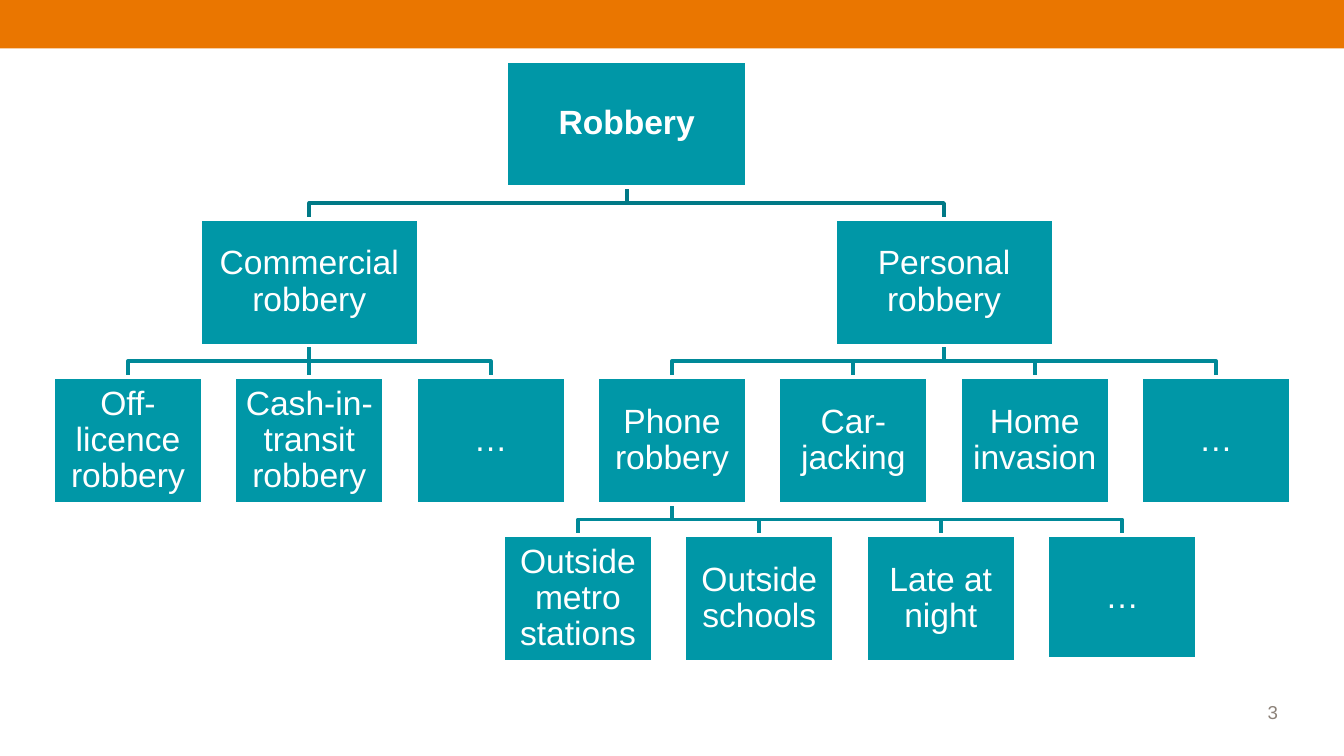
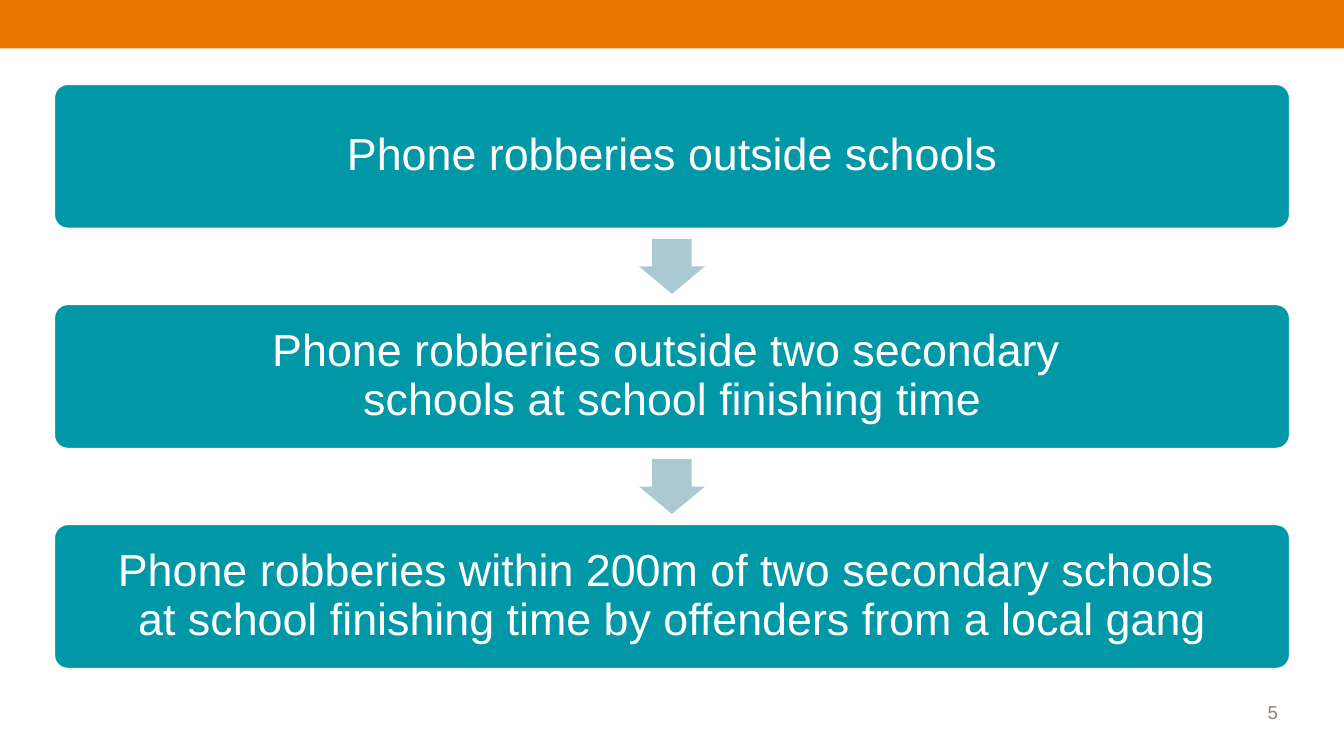
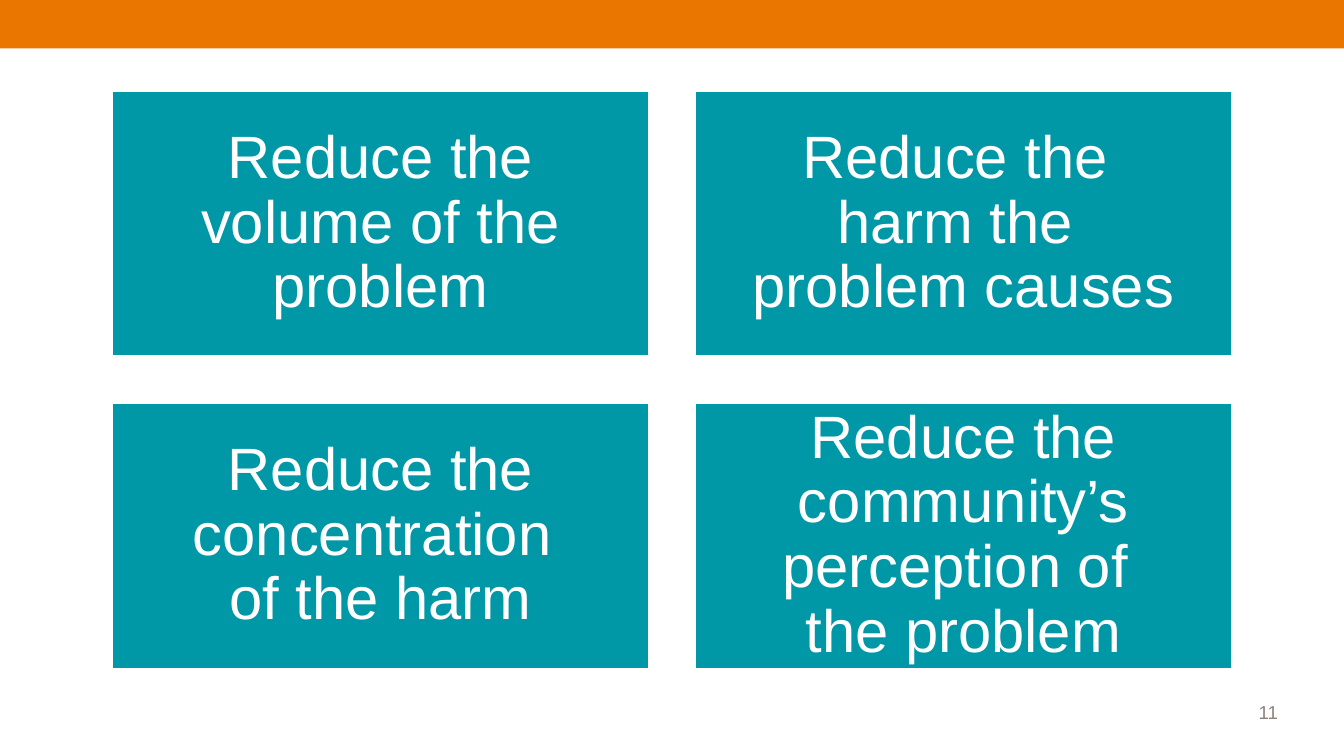
from pptx import Presentation
from pptx.dml.color import RGBColor
from pptx.enum.shapes import MSO_SHAPE
from pptx.enum.text import MSO_ANCHOR, PP_ALIGN
from pptx.util import Pt

RECTANGLE = MSO_SHAPE.RECTANGLE
ROUNDED = MSO_SHAPE.ROUNDED_RECTANGLE
DOWN_ARROW = MSO_SHAPE.DOWN_ARROW
MIDDLE, BOTTOM = MSO_ANCHOR.MIDDLE, MSO_ANCHOR.BOTTOM
CENTER, RIGHT = PP_ALIGN.CENTER, PP_ALIGN.RIGHT

COLORS = {
    "band": "EA7600",
    "box": "0097A7",
    "white": "FFFFFF",
    "upper_link": "007986",
    "lower_link": "008998",
    "arrow": "ABC9D0",
    "number": "8C8279",
}
FONT = "Arial"
SLIDE_WIDTH, SLIDE_HEIGHT = 720, 405

presentation = Presentation()
presentation.slide_width = Pt(SLIDE_WIDTH)
presentation.slide_height = Pt(SLIDE_HEIGHT)


def start_slide(number):
    """Add a slide with the top band and the slide number."""
    slide = presentation.slides.add_slide(presentation.slide_layouts[6])
    band = slide.shapes.add_shape(RECTANGLE, 0, 0, Pt(SLIDE_WIDTH), Pt(26))
    band.shadow.inherit = False
    band.fill.solid()
    band.fill.fore_color.rgb = RGBColor.from_string(COLORS["band"])
    band.line.fill.background()

    number_box = slide.shapes.add_textbox(Pt(635), Pt(359.3), Pt(56.7), Pt(31.7))
    text_frame = number_box.text_frame
    text_frame.word_wrap = True
    text_frame.vertical_anchor = BOTTOM
    text_frame.text = str(number)
    paragraph = text_frame.paragraphs[0]
    paragraph.alignment = RIGHT
    font = paragraph.runs[0].font
    font.name, font.size = FONT, Pt(10)
    font.color.rgb = RGBColor.from_string(COLORS["number"])
    return slide


def add_box(slide, preset, left, top, width, height, text, size, inset, bold=False):
    """Add a teal box with a white outline and centred white text."""
    box = slide.shapes.add_shape(preset, Pt(left), Pt(top), Pt(width), Pt(height))
    box.shadow.inherit = False
    box.fill.solid()
    box.fill.fore_color.rgb = RGBColor.from_string(COLORS["box"])
    box.line.color.rgb = RGBColor.from_string(COLORS["white"])
    box.line.width = Pt(2)
    text_frame = box.text_frame
    text_frame.word_wrap = True
    text_frame.vertical_anchor = MIDDLE
    text_frame.margin_left = text_frame.margin_right = Pt(inset)
    text_frame.margin_top = text_frame.margin_bottom = Pt(inset)
    text_frame.text = text
    paragraph = text_frame.paragraphs[0]
    paragraph.alignment = CENTER
    paragraph.line_spacing = 0.9
    for run in paragraph.runs:
        run.font.name, run.font.size, run.font.bold = FONT, Pt(size), bold
        run.font.color.rgb = RGBColor.from_string(COLORS["white"])
    return box


# Slide 3: tree of robbery types
slide = start_slide(3)
LEVEL_TOP, LEVEL_PITCH, LEVEL_HEIGHT = 32.5, 84.75, 67.9
LEAF_PITCH, LEAF_WIDTH = 97.15, 80.2
third_row = [68.55 + LEAF_PITCH * column for column in range(7)]
fourth_row = [309.65 + LEAF_PITCH * column for column in range(4)]
commercial_center = sum(third_row[:3]) / 3
personal_center = sum(third_row[3:]) / 4
robbery_center = (commercial_center + personal_center) / 2

# Links: parent level, parent centre, child centres
links = [
    (0, robbery_center, [commercial_center, personal_center]),
    (1, commercial_center, third_row[:3]),
    (1, personal_center, third_row[3:]),
    (2, third_row[3], fourth_row),
]
for level, parent_center, child_centers in links:
    link_top = LEVEL_TOP + LEVEL_PITCH * level + LEVEL_HEIGHT
    link_bottom = LEVEL_TOP + LEVEL_PITCH * (level + 1)
    link_middle = (link_top + link_bottom) / 2
    for child_center in child_centers:
        corners = [(parent_center, link_middle), (child_center, link_middle),
                   (child_center, link_bottom)]
        builder = slide.shapes.build_freeform(Pt(parent_center), Pt(link_top))
        builder.add_line_segments([(Pt(x), Pt(y)) for x, y in corners], close=False)
        link = builder.convert_to_shape()
        link.shadow.inherit = False
        link.fill.background()
        link.line.width = Pt(2)
        link_color = COLORS["upper_link" if level == 0 else "lower_link"]
        link.line.color.rgb = RGBColor.from_string(link_color)

# Boxes: width, centres and labels of each level
levels = [
    (129, [robbery_center], ["Robbery"]),
    (117.2, [commercial_center, personal_center],
     ["Commercial robbery", "Personal robbery"]),
    (LEAF_WIDTH, third_row,
     ["Off-licence robbery", "Cash-in-transit robbery", "…", "Phone robbery",
      "Car-jacking", "Home invasion", "…"]),
    (LEAF_WIDTH, fourth_row,
     ["Outside metro stations", "Outside schools", "Late at night", "…"]),
]
for level, (width, centers, labels) in enumerate(levels):
    for center, label in zip(centers, labels):
        height = 66.5 if level == 3 and label == "…" else LEVEL_HEIGHT
        add_box(slide, RECTANGLE, center - width / 2, LEVEL_TOP + LEVEL_PITCH * level,
                width, height, label, 18, 0.9, bold=level == 0)

# Slide 5: narrowing the problem step by step
slide = start_slide(5)
STEP_TOP, STEP_PITCH, STEP_HEIGHT, STEP_WIDTH = 44.6, 117.9, 78.4, 663
ARROW_WIDTH, ARROW_HEIGHT = 35.3, 29.4
steps = [
    "Phone robberies outside schools",
    "Phone robberies outside two secondary \vschools at school finishing time",
    "Phone robberies within 200m of two secondary schools \v"
    "at school finishing time by offenders from a local gang",
]
for index, step in enumerate(steps):
    top = STEP_TOP + STEP_PITCH * index
    box = add_box(slide, ROUNDED, (SLIDE_WIDTH - STEP_WIDTH) / 2, top,
                  STEP_WIDTH, STEP_HEIGHT, step, 24, 7.2)
    box.adjustments[0] = 0.1
    if index < len(steps) - 1:
        gap_middle = top + (STEP_HEIGHT + STEP_PITCH) / 2
        arrow = slide.shapes.add_shape(
            DOWN_ARROW, Pt((SLIDE_WIDTH - ARROW_WIDTH) / 2),
            Pt(gap_middle - ARROW_HEIGHT / 2), Pt(ARROW_WIDTH), Pt(ARROW_HEIGHT))
        arrow.adjustments[0], arrow.adjustments[1] = 0.6, 0.5
        arrow.shadow.inherit = False
        arrow.fill.solid()
        arrow.fill.fore_color.rgb = RGBColor.from_string(COLORS["arrow"])
        arrow.line.fill.background()

# Slide 11: two by two grid of aims
slide = start_slide(11)
AIM_WIDTH, AIM_HEIGHT = 288.6, 143.2
aims = [
    "Reduce the volume of the problem",
    "Reduce the \vharm the \vproblem causes",
    "Reduce the concentration \vof the harm",
    "Reduce the community’s perception of \vthe problem",
]
for index, aim in enumerate(aims):
    row, column = divmod(index, 2)
    add_box(slide, RECTANGLE, 59.6 + 312.3 * column, 48.3 + 167.2 * row,
            AIM_WIDTH, AIM_HEIGHT, aim, 32, 9.4)

presentation.save("out.pptx")
